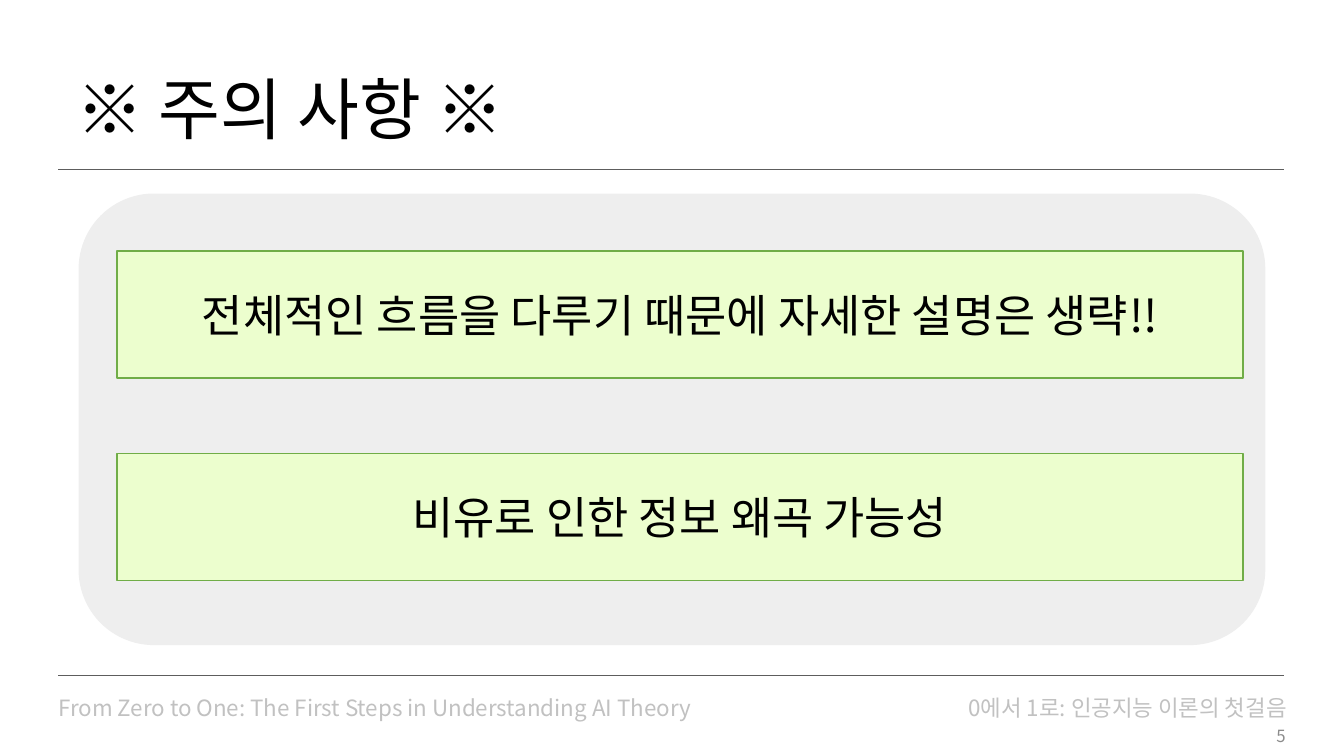
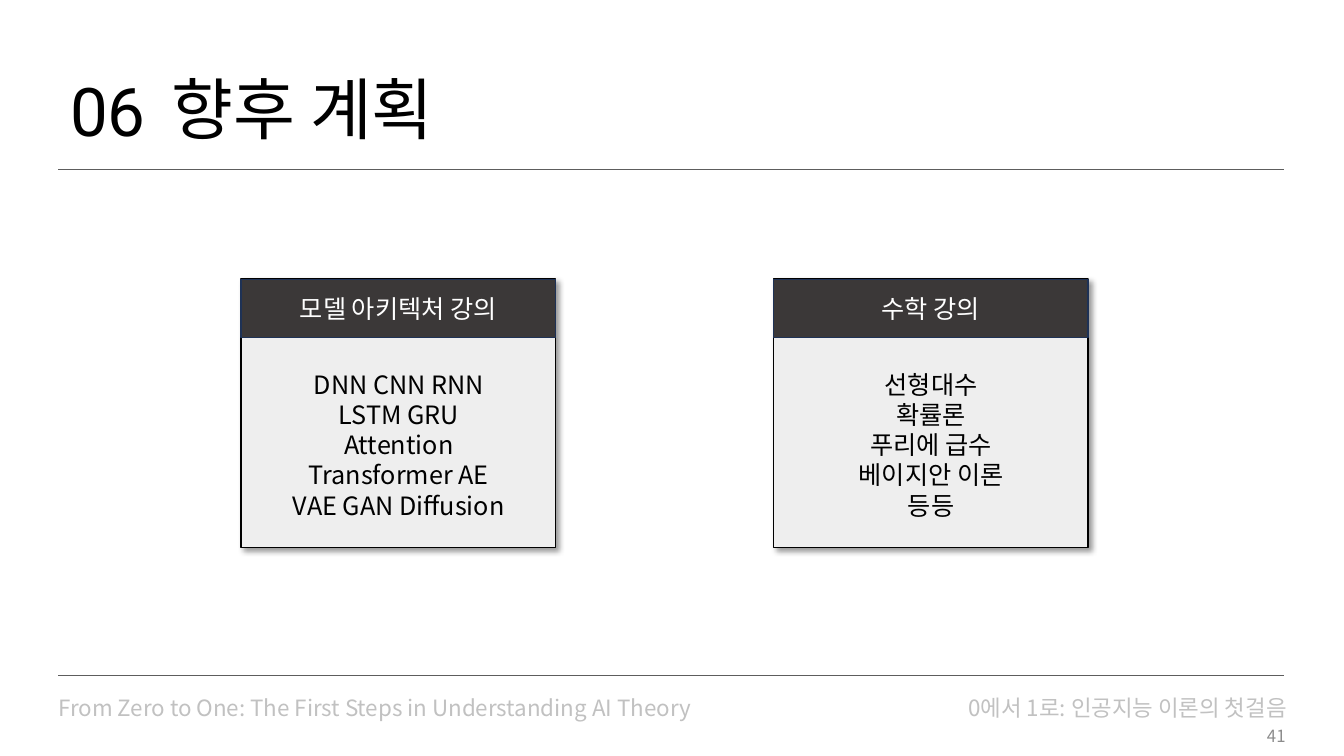
from lxml import etree
from pptx import Presentation
from pptx import util as u
from pptx.dml.color import RGBColor
from pptx.enum import shapes as sh, text as tx
from pptx.oxml import parse_xml
from pptx.oxml.ns import nsdecls, qn

PX = 9144  # EMU in one px, 100 px to the inch
SANS, BLACK, PALE = "Noto Sans CJK KR", "000000", "EEEEEE"
LEFT, MID, RIGHT = tx.PP_ALIGN.LEFT, tx.PP_ALIGN.CENTER, tx.PP_ALIGN.RIGHT
RECT, ROUND = sh.MSO_SHAPE.RECTANGLE, sh.MSO_SHAPE.ROUNDED_RECTANGLE
SHADOW = (f'<a:effectLst {nsdecls("a")}><a:outerShdw blurRad="50800" dist="38100" '
          'dir="2700000" algn="tl" rotWithShape="0"><a:srgbClr val="000000">'
          '<a:alpha val="40000"/></a:srgbClr></a:outerShdw></a:effectLst>')


def write(shape, words, size=18, color=BLACK, face=SANS, align=MID,
          anchor=tx.MSO_ANCHOR.MIDDLE, space=None):
    """Fill a shape with formatted text, one paragraph to a line."""
    frame = shape.text_frame
    frame.word_wrap, frame.auto_size = True, tx.MSO_AUTO_SIZE.NONE
    frame.vertical_anchor = anchor
    frame.text = words
    for para in frame.paragraphs:
        para.alignment, para.line_spacing = align, space
        para.space_before = u.Pt(0)
        font = para.runs[0].font
        font.size, font.name = u.Pt(size), face
        font.color.rgb = RGBColor.from_string(color)
        etree.SubElement(para.runs[0]._r.rPr, qn("a:ea"), typeface=face)


def block(home, kind, box, fill, line=None):
    shape = home.add_shape(kind, *[n * PX for n in box])
    shape.shadow.inherit = False
    shape.fill.solid()
    shape.fill.fore_color.rgb = RGBColor.from_string(fill)
    if line:
        shape.line.color.rgb = RGBColor.from_string(line)
        shape.line.width = u.Pt(1)
    else:
        shape.line.fill.background()
    return shape


deck = Presentation()
deck.slide_width, deck.slide_height = 1333 * PX, 750 * PX

# What both slides share: rules, footer, page number, title
pages = [(5, "※ 주의 사항 ※", 66, 626, "5"), (1, "향후 계획", 160, 533, "41")]
for layout, title, x, w, num in pages:
    slide = deck.slides.add_slide(deck.slide_layouts[layout])
    for y in (168, 670):
        rule = slide.shapes.add_connector(
            sh.MSO_CONNECTOR.STRAIGHT, 58 * PX, y * PX, 1273 * PX, y * PX)
        rule.line.color.rgb = RGBColor.from_string("5D5D5D")
        rule.line.width = u.Pt(0.5)
        etree.SubElement(rule._element.spPr, qn("a:effectLst"))
    for words, box, size, color, align in [
            ("From Zero to One: The First Steps in Understanding AI Theory",
             (48, 683, 701, 37), 16, "C1C1C1", LEFT),
            ("0에서 1로: 인공지능 이론의 첫걸음",
             (844, 683, 442, 37), 16, "C1C1C1", RIGHT),
            (num, (985, 710, 300, 40), 12, "8C8C8C", RIGHT)]:
        note = slide.shapes.add_textbox(*[n * PX for n in box])
        write(note, words, size=size, color=color, align=align)
    head = slide.shapes.title
    head.left, head.top, head.width, head.height = [n * PX for n in (x, 70, w, 83)]
    write(head, title, size=48, align=LEFT, space=0.9)

warn, plan = deck.slides

# Slide 1: two warnings on a panel
block(warn.shapes, ROUND, (78, 192, 1177, 448), PALE)
for i, words in enumerate(["전체적인 흐름을 다루기 때문에 자세한 설명은 생략!!",
                           "비유로 인한 정보 왜곡 가능성"]):
    bar = block(warn.shapes, RECT, (116, 249 + 201 * i, 1117, 126), "ECFECE", "70AD47")
    write(bar, words, size=32)

# Slide 2: chapter number and two lecture cards
mark = plan.placeholders[1]
mark.left, mark.top, mark.width, mark.height = [n * PX for n in (58, 70, 98, 87)]
write(mark, "06", size=48, face="Roboto", space=0.9)
props = mark.text_frame.paragraphs[0]._p.get_or_add_pPr()
props.set("marL", "0")
props.set("indent", "0")
etree.SubElement(props, qn("a:buNone"))

cards = [(239, "모델 아키텍처 강의",
          "DNN CNN RNN LSTM GRU Attention Transformer AE VAE GAN Diffusion"),
         (767, "수학 강의", "선형대수\n확률론\n푸리에 급수\n베이지안 이론\n등등")]
for x, name, topics in cards:
    card = plan.shapes.add_group_shape().shapes
    back = block(card, RECT, (x, 277, 312, 266), PALE, BLACK)
    props = back._element.spPr
    props.replace(props.find(qn("a:effectLst")), parse_xml(SHADOW))
    write(block(card, RECT, (x, 277, 312, 58), "3B3838", "1E3256"), name, color="FFFFFF")
    body = card.add_textbox(*[n * PX for n in (x + 40, 345, 233, 192)])
    write(body, topics)

deck.save("out.pptx")
